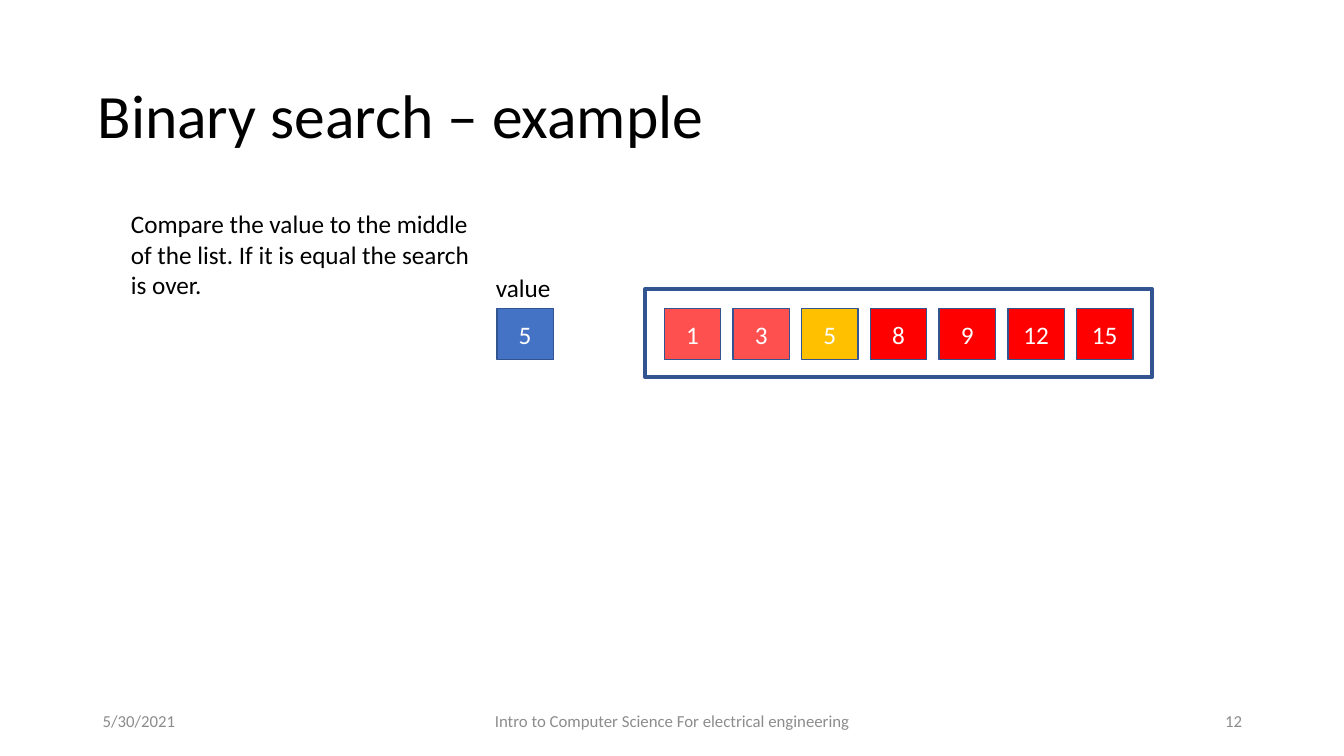
from pptx import Presentation
from pptx import util as u
from pptx.dml import color
from pptx.enum import shapes, text

UNIT = u.Inches(0.1)  # one grid column or row
COLS, ROWS = 133.33, 75
FONT = "Calibri"
COLORS = {"ink": "000000", "muted": "8C8C8C", "white": "FFFFFF", "border": "325491",
          "value": "4472C4", "lower": "FF5050", "middle": "FFC000", "upper": "FF0000"}
CELL_W, CELL_H = 5.6, 5.1
LEFT, CENTER, RIGHT = text.PP_ALIGN.LEFT, text.PP_ALIGN.CENTER, text.PP_ALIGN.RIGHT
TOP, MIDDLE = text.MSO_ANCHOR.TOP, text.MSO_ANCHOR.MIDDLE


def rgb(name):
    """Look up a named colour."""
    return color.RGBColor.from_string(COLORS[name])


def grid(*box):
    """Turn grid columns and rows into slide lengths."""
    return [round(n * UNIT) for n in box]


def write(sp, words, size, ink, align=LEFT, anchor=TOP):
    """Put one styled run into a shape and return its paragraph."""
    tf = sp.text_frame
    tf.word_wrap = True
    tf.vertical_anchor = anchor
    p = tf.paragraphs[0]
    p.alignment = align
    r = p.add_run()
    r.text = words
    r.font.size, r.font.name = u.Pt(size), FONT
    r.font.color.rgb = rgb(ink)
    return p


def add_text(s, box, words, size, ink="ink", align=LEFT, anchor=TOP):
    """Add a text box and return its paragraph."""
    return write(s.shapes.add_textbox(*grid(*box)), words, size, ink, align, anchor)


def add_rect(s, box, line, fill=None):
    """Add a bordered rectangle, hollow unless a fill is named."""
    sp = s.shapes.add_shape(shapes.MSO_SHAPE.RECTANGLE, *grid(*box))
    sp.shadow.inherit = False
    if fill:
        sp.fill.solid()
        sp.fill.fore_color.rgb = rgb(fill)
    else:
        sp.fill.background()
    sp.line.color.rgb, sp.line.width = rgb("border"), u.Pt(line)
    return sp


def add_cell(s, x, y, number, fill):
    """Add one numbered cell."""
    sp = add_rect(s, (x, y, CELL_W, CELL_H), 1, fill)
    write(sp, str(number), 18, "white", CENTER, MIDDLE)


def add_title(s, box, words):
    """Add the slide title."""
    add_text(s, box, words, 44, anchor=MIDDLE).line_spacing = 0.9


def add_footer(s, box, date, course, number):
    """Add date, course and slide number: left, centre and right in the box."""
    x, y, w, h = box
    side, mid = 30, 45
    for left, width, words, align in ((x, side, date, LEFT),
                                      (x + (w - mid) / 2, mid, course, CENTER),
                                      (x + w - side, side, number, RIGHT)):
        add_text(s, (left, y, width, h), words, 12, "muted", align, MIDDLE)


def add_list(s, box, items):
    """Add the framed list, its cells evenly spread across the box."""
    x, y, w, h = box
    pad = 1.9
    add_rect(s, box, 3)
    pitch = (w - 2 * pad - CELL_W) / (len(items) - 1)
    for i, (number, fill) in enumerate(items):
        add_cell(s, x + pad + i * pitch, y + pad, number, fill)


def add_value(s, box, number):
    """Add the searched value under its label."""
    x, y, w, h = box
    add_cell(s, x + (w - CELL_W) / 2, y + h - CELL_H, number, "value")
    add_text(s, (x, y, w, h - CELL_H), "value", 18)


def main():
    """Build and save the slide."""
    prs = Presentation()
    prs.slide_width, prs.slide_height = grid(COLS, ROWS)
    s = prs.slides.add_slide(prs.slide_layouts[6])
    add_title(s, (8.7, 4.5, 115, 14.5), "Binary search – example")
    add_footer(s, (9.2, 69.5, 115, 4), "5/30/2021",
               "Intro to Computer Science For electrical engineering", "12")
    add_list(s, (64, 28.7, 50.3, 8.7),
             [(1, "lower"), (3, "lower"), (5, "middle"), (8, "upper"),
              (9, "upper"), (12, "upper"), (15, "upper")])
    add_value(s, (48.2, 26.5, 7.8, 9.2), 5)
    add_text(s, (12, 20.2, 36.3, 10.1),
             "Compare the value to the middle of the list. "
             "If it is equal the search is over.", 18)
    prs.save("out.pptx")


main()
